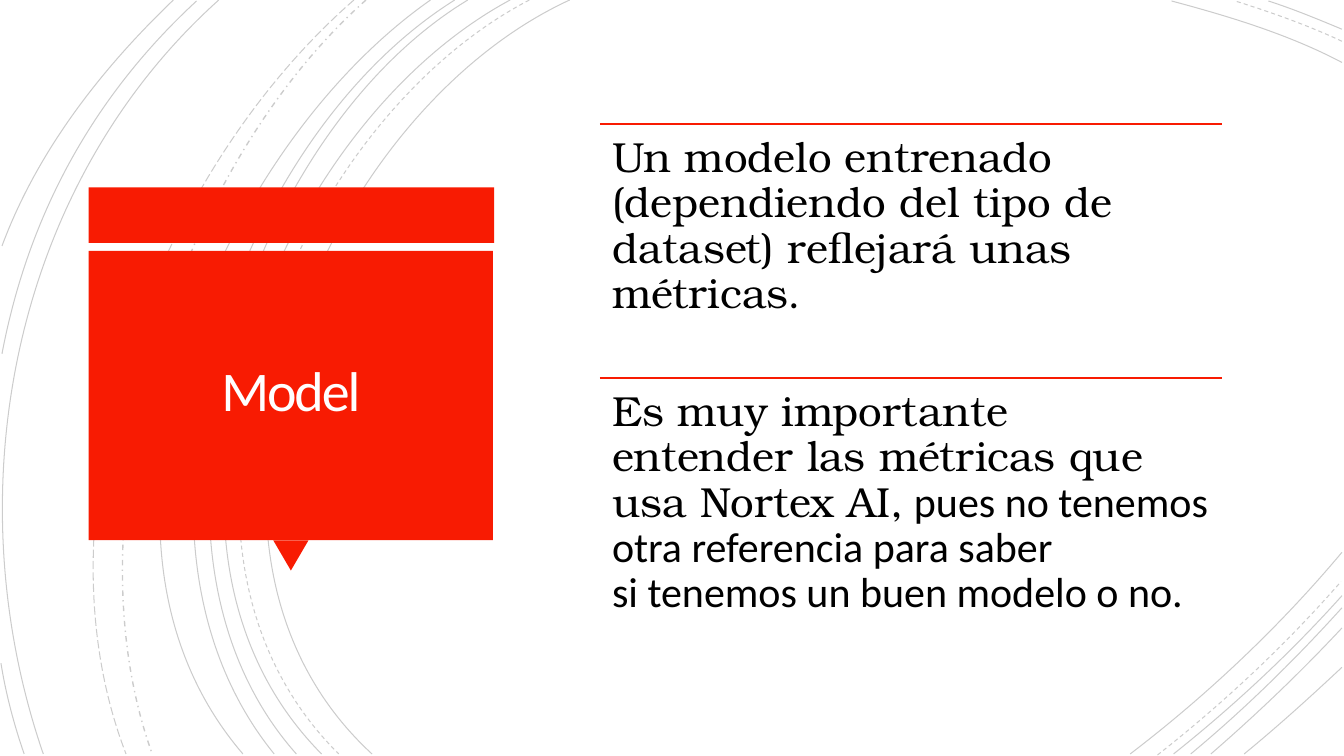
import pptx
import pptx.util
import pptx.dml.color
import pptx.enum.dml
import pptx.enum.shapes
import pptx.enum.text
import pptx.oxml
import pptx.oxml.ns
from pptx.oxml.ns import qn
from pptx.util import Inches

RED, WHITE, BLACK = "F81B02", "FFFEFF", "000000"
SERIF, SANS = "TeX Gyre Bonum", "Calibri"
HARD_SPACE = chr(160)

TITLE = "Model"
POINTS = [
    [("Un modelo entrenado (dependiendo del tipo de dataset) reflejará unas métricas", SERIF),
     (".", SANS)],
    [(f"Es muy importante entender{HARD_SPACE}las métricas que usa Nortex AI,", SERIF),
     (f" pues no tenemos otra referencia{HARD_SPACE}para saber "
      f"si{HARD_SPACE}tenemos un buen modelo o no.", SANS)],
]

ARCS = {
    ("SOLID", 0.75): [
        [(5.65, 0), (3.15, 1.15), (1.43, 5.4), (3.69, 7.48)],
        [(13.31, 0.62), (12.78, 0.34), (12.18, 0.16), (11.62, 0.01)],
        [(11.21, 7.48), (11.97, 6.9), (12.69, 6.22), (13.31, 5.48)],
        [(5.06, 0), (2.7, 1.27), (1.1, 5.37), (3.19, 7.48)],
        [(13.31, 0.29), (13.07, 0.19), (12.83, 0.09), (12.58, 0.01)],
        [(11.64, 7.48), (12.23, 7.01), (12.8, 6.48), (13.31, 5.91)],
        [(4.64, 0), (2.44, 1.33), (1.1, 5.41), (2.94, 7.48)],
        [(11.81, 7.48), (12.34, 7.04), (12.84, 6.55), (13.31, 6.03)],
        [(4.51, 0), (2.31, 1.38), (0.97, 5.33), (2.72, 7.48)],
        [(12.01, 7.48), (12.46, 7.09), (12.9, 6.67), (13.31, 6.23)],
        [(4.27, 0), (2.17, 1.47), (0.53, 5.29), (2.41, 7.48)],
        [(12.34, 7.48), (12.67, 7.21), (12.99, 6.92), (13.31, 6.62)],
        [(2.17, 0), (0.11, 1.85), (-0.46, 4.9), (0.43, 7.48)],
        [(1.95, 0.01), (0.92, 0.96), (0.28, 2.14), (0.02, 3.51)],
        [(0.01, 6.58), (0.06, 6.89), (0.14, 7.19), (0.24, 7.48)],
        [(1.72, 0), (1, 0.69), (0.37, 1.5), (0.02, 2.44)],
    ],
    ("DASH", 0.75): [
        [(5.25, 0), (2.85, 1.25), (1.23, 5.37), (3.36, 7.48)],
        [(13.31, 0.41), (12.97, 0.25), (12.6, 0.12), (12.25, 0.01)],
        [(11.48, 7.49), (12.13, 6.98), (12.75, 6.4), (13.3, 5.77)],
    ],
    ("DASH_DOT", 1): [[(3.63, 0), (1.76, 1.66), (0.65, 5.09), (1.51, 7.48)]],
    ("LONG_DASH", 0.75): [[(3.51, 0), (1.57, 1.69), (0.29, 4.99), (1.25, 7.48)]],
}
ARC_OPACITY = 20

SIGN = [
    ("RECTANGLE", (0.88, 1.86, 4.02, 0.55), 0),
    ("ISOSCELES_TRIANGLE", (2.71, 5.36, 0.35, 0.3), 180),
    ("RECTANGLE", (0.88, 2.49, 4.01, 2.87), 0),
]
TITLE_BOX = (0.97, 2.57, 3.83, 2.69)
LIST_LEFT, LIST_TOP, LIST_WIDTH, ROW_HEIGHT = 5.95, 1.23, 6.17, 2.52


def color(value):
    return pptx.dml.color.RGBColor.from_string(value)


def add_element(parent, tag, **attributes):
    child = pptx.oxml.parse_xml(f"<{tag} {pptx.oxml.ns.nsdecls('a')}/>")
    for name, value in attributes.items():
        child.set(name, value)
    parent.append(child)
    return child


def add_arc(page, controls, dash, width):
    start, *others = [tuple(map(Inches, point)) for point in controls]
    builder = page.shapes.build_freeform(*start)
    builder.add_line_segments(others, close=False)
    arc = builder.convert_to_shape()
    segments = list(arc.element.iter(qn("a:lnTo")))
    curve = add_element(segments[0].getparent(), "a:cubicBezTo")
    for segment in segments:
        curve.append(segment[0])
        segment.getparent().remove(segment)
    arc.shadow.inherit = False
    arc.fill.background()
    arc.line.color.rgb = color(BLACK)
    arc.line.width = pptx.util.Pt(width)
    arc.line.dash_style = getattr(pptx.enum.dml.MSO_LINE, dash)
    for ink in arc.element.spPr.iter(qn("a:srgbClr")):
        add_element(ink, "a:alpha", val=str(ARC_OPACITY * 1000))


def add_sign_part(page, kind, place, rotation):
    part = page.shapes.add_shape(
        getattr(pptx.enum.shapes.MSO_SHAPE, kind), *map(Inches, place))
    part.rotation = rotation
    part.shadow.inherit = False
    part.fill.solid()
    part.fill.fore_color.rgb = color(RED)
    part.line.fill.background()


def add_rule(page, top):
    rule = page.shapes.add_connector(
        pptx.enum.shapes.MSO_CONNECTOR.STRAIGHT,
        Inches(LIST_LEFT), Inches(top), Inches(LIST_LEFT + LIST_WIDTH), Inches(top))
    rule.line.color.rgb = color(RED)
    rule.line.width = pptx.util.Pt(1.25)
    add_element(rule.element.spPr, "a:effectLst")


def fill_box(box, place, inset, anchor, align, spacing, runs, size, ink):
    box.left, box.top, box.width, box.height = map(Inches, place)
    frame = box.text_frame
    frame.word_wrap = True
    frame.auto_size = pptx.enum.text.MSO_AUTO_SIZE.NONE
    frame.vertical_anchor = anchor
    frame.margin_left = frame.margin_right = Inches(inset)
    frame.margin_top = frame.margin_bottom = Inches(inset)
    para = frame.paragraphs[0]
    para.alignment = align
    para.line_spacing = spacing
    para.space_before = pptx.util.Pt(0)
    for text, font in runs:
        span = para.add_run()
        span.text = text
        span.font.name = font
        span.font.size = pptx.util.Pt(size)
        span.font.color.rgb = color(ink)
    box.element.getparent().append(box.element)


def main():
    deck = pptx.Presentation()
    deck.slide_width, deck.slide_height = Inches(13.33), Inches(7.5)
    page = deck.slides.add_slide(deck.slide_layouts.get_by_name("Two Content"))
    title, *bodies = page.placeholders
    anchors, aligns = pptx.enum.text.MSO_ANCHOR, pptx.enum.text.PP_ALIGN

    for (dash, width), arcs in ARCS.items():
        for controls in arcs:
            add_arc(page, controls, dash, width)
    for kind, place, rotation in SIGN:
        add_sign_part(page, kind, place, rotation)

    fill_box(title, TITLE_BOX, 0.25, anchors.MIDDLE, aligns.CENTER, 0.85,
             [(TITLE, SANS)], 40, WHITE)
    for properties in title.element.iter(qn("a:rPr")):
        properties.set("spc", "-150")

    for row, (body, runs) in enumerate(zip(bodies, POINTS)):
        top = LIST_TOP + row * ROW_HEIGHT
        add_rule(page, top)
        fill_box(body, (LIST_LEFT, top, LIST_WIDTH, ROW_HEIGHT), 0.12,
                 anchors.TOP, aligns.LEFT, 0.9, runs, 30, BLACK)
        for properties in body.element.iter(qn("a:pPr")):
            properties.set("marL", "0")
            properties.set("indent", "0")
            add_element(properties, "a:buNone")

    deck.save("out.pptx")


if __name__ == "__main__":
    main()
